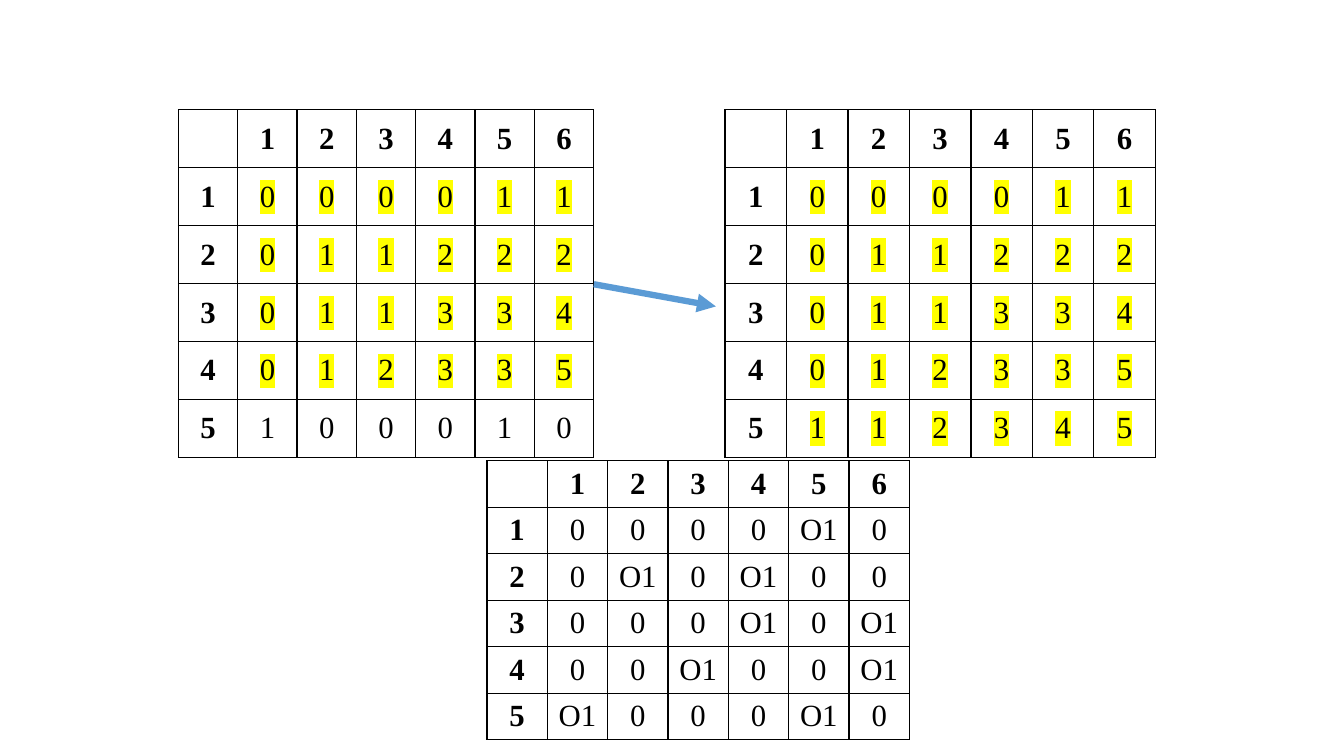
from dataclasses import dataclass

import lxml.etree
import pptx
import pptx.dml.color
import pptx.enum.shapes
import pptx.enum.text
import pptx.oxml.ns
import pptx.presentation
import pptx.slide
import pptx.table
import pptx.util

INK = "000000"
PAPER = "FFFFFF"
MARKER = "FFFF00"
ARROW_BLUE = "5B9BD5"


@dataclass(frozen=True)
class Matrix:
    left: float
    top: float
    width: float
    height: float
    rows: tuple[str, ...]
    highlighted_rows: int = 0


SETTLED_ROWS = ("0 0 0 0 1 1", "0 1 1 2 2 2", "0 1 1 3 3 4", "0 1 2 3 3 5")
AFTER = Matrix(7.19, 1.09, 4.27, 3.45, SETTLED_ROWS + ("1 1 2 3 4 5",), 5)
BEFORE = Matrix(1.77, 1.09, 4.12, 3.45, SETTLED_ROWS + ("1 0 0 0 1 0",), 4)
COINS = Matrix(4.83, 4.57, 4.19, 2.77, (
    "0 0 0 0 O1 0",
    "0 O1 0 O1 0 0",
    "0 0 0 O1 0 O1",
    "0 0 O1 0 0 O1",
    "O1 0 0 0 O1 0",
))


def rgb(value: str) -> pptx.dml.color.RGBColor:
    return pptx.dml.color.RGBColor.from_string(value)


def element(tag: str, **attributes: str) -> lxml.etree._Element:
    return lxml.etree.Element(pptx.oxml.ns.qn(tag), attributes)


def solid(tag: str, color: str) -> lxml.etree._Element:
    """Wrap an RGB colour in the given tag."""
    wrapper = element(tag)
    wrapper.append(element("a:srgbClr", val=color))
    return wrapper


def add_borders(cell: pptx.table._Cell) -> None:
    properties = cell._tc.get_or_add_tcPr()
    for position, side in enumerate(("L", "R", "T", "B")):
        border = element(f"a:ln{side}", w=str(pptx.util.Pt(1)))
        border.append(solid("a:solidFill", INK))
        properties.insert(position, border)


def fill_cell(cell: pptx.table._Cell, text: str, bold: bool, marked: bool) -> None:
    cell.fill.solid()
    cell.fill.fore_color.rgb = rgb(PAPER)
    cell.margin_left = cell.margin_right = pptx.util.Inches(0.07)
    cell.margin_top = cell.margin_bottom = 0
    cell.vertical_anchor = pptx.enum.text.MSO_ANCHOR.MIDDLE
    add_borders(cell)
    if not text:
        return
    paragraph = cell.text_frame.paragraphs[0]
    paragraph.text = text
    paragraph.alignment = pptx.enum.text.PP_ALIGN.CENTER
    run = paragraph.runs[0]
    run.font.size = pptx.util.Pt(22)
    run.font.name = "Times New Roman"
    run.font.bold = bold
    run.font.color.rgb = rgb(INK)
    if marked:
        ink_fill = run._r.get_or_add_rPr().find(pptx.oxml.ns.qn("a:solidFill"))
        ink_fill.addnext(solid("a:highlight", MARKER))


def draw_matrix(slide: pptx.slide.Slide, matrix: Matrix) -> None:
    body = [row.split() for row in matrix.rows]
    header = ["", *(str(number + 1) for number in range(len(body[0])))]
    grid = [header, *([str(i), *values] for i, values in enumerate(body, 1))]
    inches = pptx.util.Inches
    table = slide.shapes.add_table(
        len(grid), len(header), inches(matrix.left), inches(matrix.top),
        inches(matrix.width), inches(matrix.height),
    ).table
    table.first_row = False
    table.horz_banding = False
    for i, values in enumerate(grid):
        for j, text in enumerate(values):
            is_heading = i == 0 or j == 0
            marked = not is_heading and i <= matrix.highlighted_rows
            fill_cell(table.cell(i, j), text, is_heading, marked)


def draw_arrow(slide: pptx.slide.Slide) -> None:
    inches = pptx.util.Inches
    arrow = slide.shapes.add_connector(
        pptx.enum.shapes.MSO_CONNECTOR.STRAIGHT,
        inches(5.89), inches(2.82), inches(7.1), inches(3.04),
    )
    arrow.line.color.rgb = rgb(ARROW_BLUE)
    arrow.line.width = pptx.util.Pt(4.5)
    arrow.line._get_or_add_ln().append(element("a:tailEnd", type="triangle"))
    arrow._element.spPr.append(element("a:effectLst"))


def build() -> pptx.presentation.Presentation:
    presentation = pptx.Presentation()
    presentation.slide_width = pptx.util.Inches(13.33)
    presentation.slide_height = pptx.util.Inches(7.5)
    slide = presentation.slides.add_slide(presentation.slide_layouts[6])

    # Dynamic-programming table before and after its last row
    draw_matrix(slide, AFTER)
    draw_matrix(slide, BEFORE)
    draw_arrow(slide)

    # Board with the coins
    draw_matrix(slide, COINS)
    return presentation


if __name__ == "__main__":
    build().save("out.pptx")
